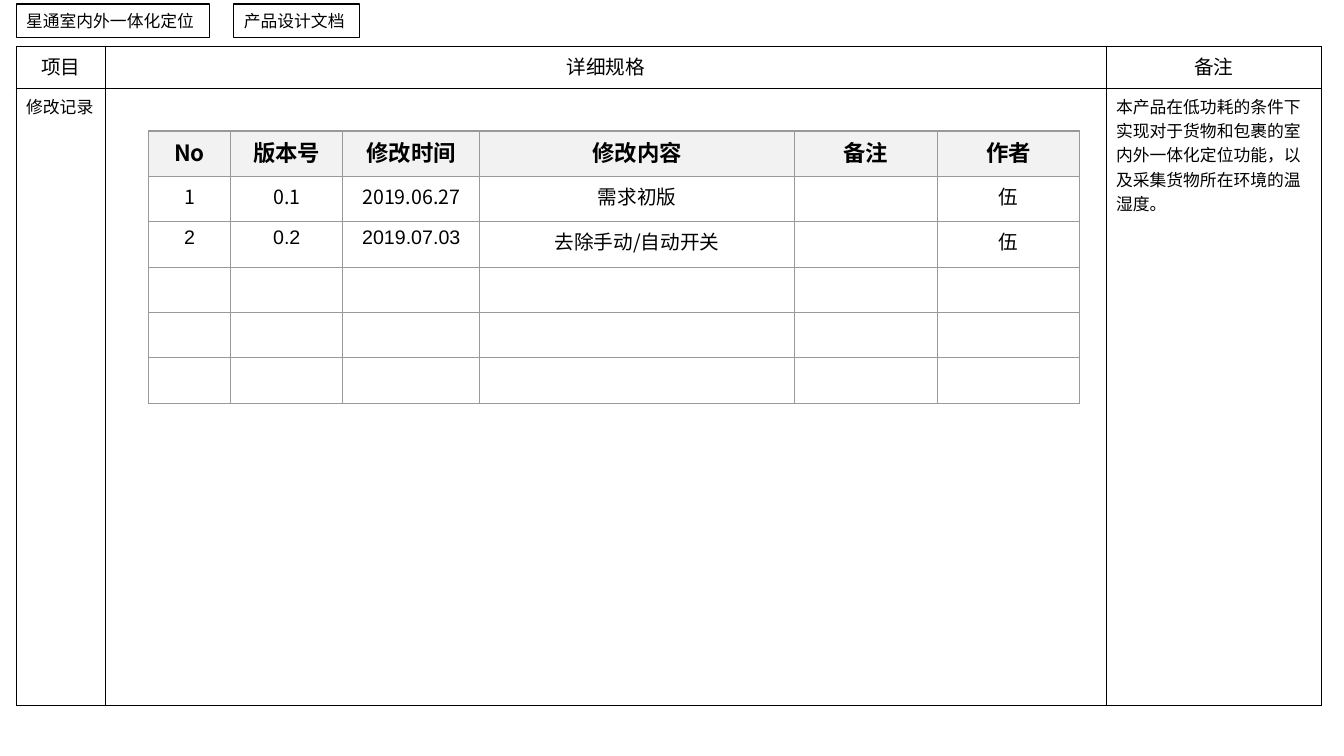
from lxml import etree
from pptx import Presentation
from pptx.dml.color import RGBColor
from pptx.enum import shapes, text
from pptx.oxml import ns
from pptx.util import Inches, Pt

# Content
TAGS = [("星通室内外一体化定位", 0.16, 1.92), ("产品设计文档", 2.32, 1.25)]
SPEC_ROWS = [
    ["项目", "详细规格", "备注"],
    ["修改记录", "", "本产品在低功耗的条件下实现对于货物和包裹的室内外一体化定位功能，以及采集货物所在环境的温湿度。"],
]
REVISION_ROWS = [
    ["No", "版本号", "修改时间", "修改内容", "备注", "作者"],
    ["1", "0.1", "2019.06.27", "需求初版", "", "伍"],
    ["2", "0.2", "2019.07.03", "去除手动/自动开关", "", "伍"],
    *[[""] * 6 for _ in range(3)],
]

# Theme
CJK, LATIN = "Noto Sans CJK SC", "Arial"
THEME = {
    "ink": "000000", "paper": "FFFFFF", "head_fill": "F2F2F2", "grid": "999999",
    "label": {"name": LATIN, "size": Pt(12), "bold": False},
    "spec_head": {"name": LATIN, "size": Pt(14), "bold": False},
    "spec_body": {"name": CJK, "size": Pt(12), "bold": False},
    "revision_head": {"name": CJK, "size": Pt(16), "bold": True},
    "revision_body": {"name": CJK, "size": Pt(14), "bold": False},
    "revision_latin": {"name": LATIN, "size": Pt(14), "bold": False},
}


def color(name):
    return RGBColor.from_string(THEME[name])


def write(frame, words, style, align):
    paragraph = frame.paragraphs[0]
    paragraph.alignment = align
    run = paragraph.add_run()
    run.text = words
    for key, value in THEME[style].items():
        setattr(run.font, key, value)
    run.font.color.rgb = color("ink")
    if THEME[style]["name"] == CJK:
        properties = run._r.get_or_add_rPr()
        etree.SubElement(properties, ns.qn("a:ea"), typeface=CJK)


def draw_borders(cell, line_color, width):
    properties = cell._tc.get_or_add_tcPr()
    for side in ("lnL", "lnR", "lnT", "lnB"):
        line = etree.SubElement(properties, ns.qn(f"a:{side}"), w=str(Pt(width)))
        fill = etree.SubElement(line, ns.qn("a:solidFill"))
        etree.SubElement(fill, ns.qn("a:srgbClr"), val=THEME[line_color])


def add_grid(slide, rows, left, top, widths, heights, line_color, line_width, head_fill, style_of, align_of):
    frame = slide.shapes.add_table(
        len(rows), len(widths), Inches(left), Inches(top),
        Inches(sum(widths)), Inches(sum(heights)))
    table = frame.table
    table.first_row = table.horz_banding = False
    for column, width in zip(table.columns, widths):
        column.width = Inches(width)
    for r, (row, height) in enumerate(zip(rows, heights)):
        table.rows[r].height = Inches(height)
        for c, words in enumerate(row):
            cell = table.cell(r, c)
            draw_borders(cell, line_color, line_width)
            cell.fill.solid()
            cell.fill.fore_color.rgb = color("paper" if r else head_fill)
            if words:
                write(cell.text_frame, words, style_of(r, c), align_of(r))


def revision_style(r, c):
    if r == 0:
        return "revision_head"
    return "revision_latin" if r == 2 and c < 3 else "revision_body"


def main():
    presentation = Presentation()
    presentation.slide_width, presentation.slide_height = Inches(13.33), Inches(7.5)
    slide = presentation.slides.add_slide(presentation.slide_layouts[6])
    center, left = text.PP_ALIGN.CENTER, text.PP_ALIGN.LEFT

    # Specification frame
    add_grid(slide, SPEC_ROWS, 0.16, 0.46, [0.89, 9.92, 2.14], [0.42, 6.12],
             "ink", 0.75, "paper",
             lambda r, c: "spec_body" if r else "spec_head",
             lambda r: left if r else center)

    # Title tags
    for words, x, width in TAGS:
        shape = slide.shapes.add_shape(
            shapes.MSO_SHAPE.RECTANGLE, Inches(x), Inches(0.04), Inches(width), Inches(0.33))
        shape.shadow.inherit = False
        shape.fill.background()
        shape.line.color.rgb = color("ink")
        shape.line.width = Pt(0.75)
        shape.text_frame.word_wrap = True
        shape.text_frame.vertical_anchor = text.MSO_ANCHOR.MIDDLE
        write(shape.text_frame, words, "label", left)

    # Revision history
    add_grid(slide, REVISION_ROWS, 1.47, 1.3, [0.82, 1.11, 1.36, 3.12, 1.42, 1.41],
             [0.45] * len(REVISION_ROWS), "grid", 1, "head_fill",
             revision_style, lambda r: center)

    presentation.save("out.pptx")


if __name__ == "__main__":
    main()
